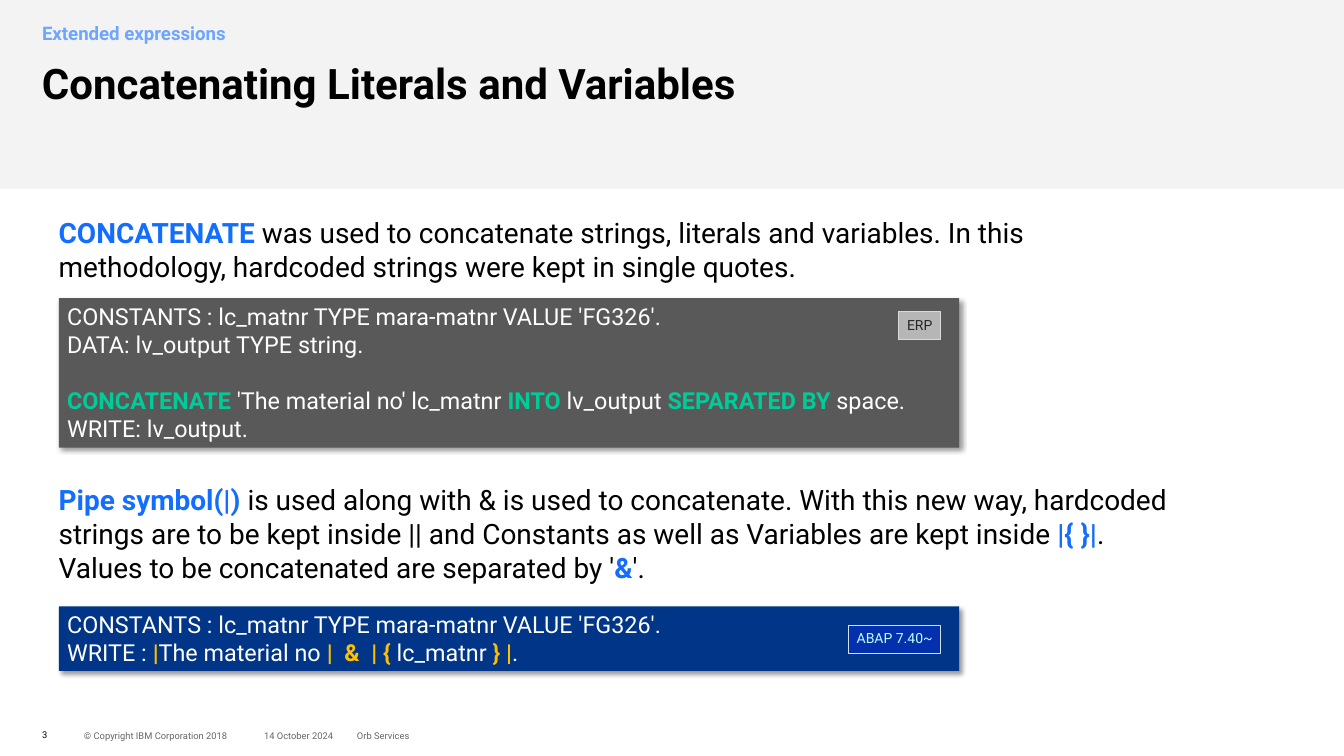
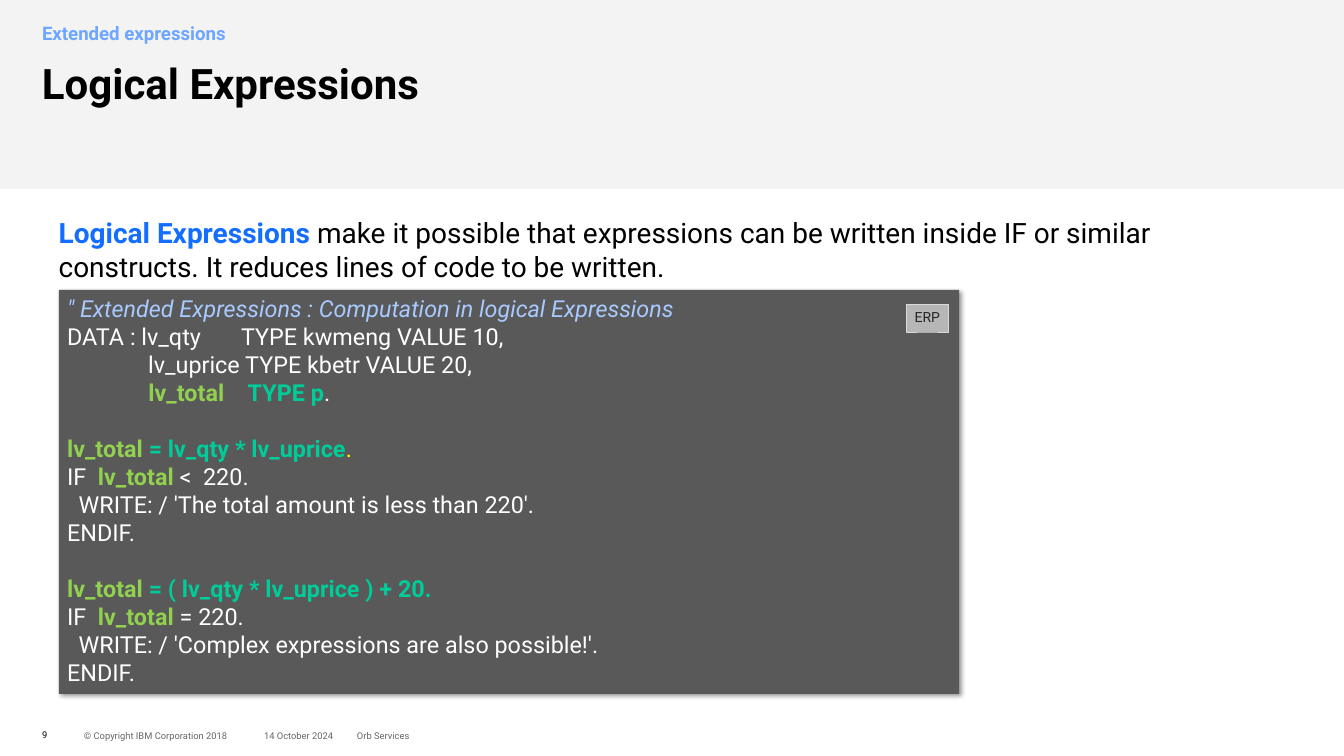
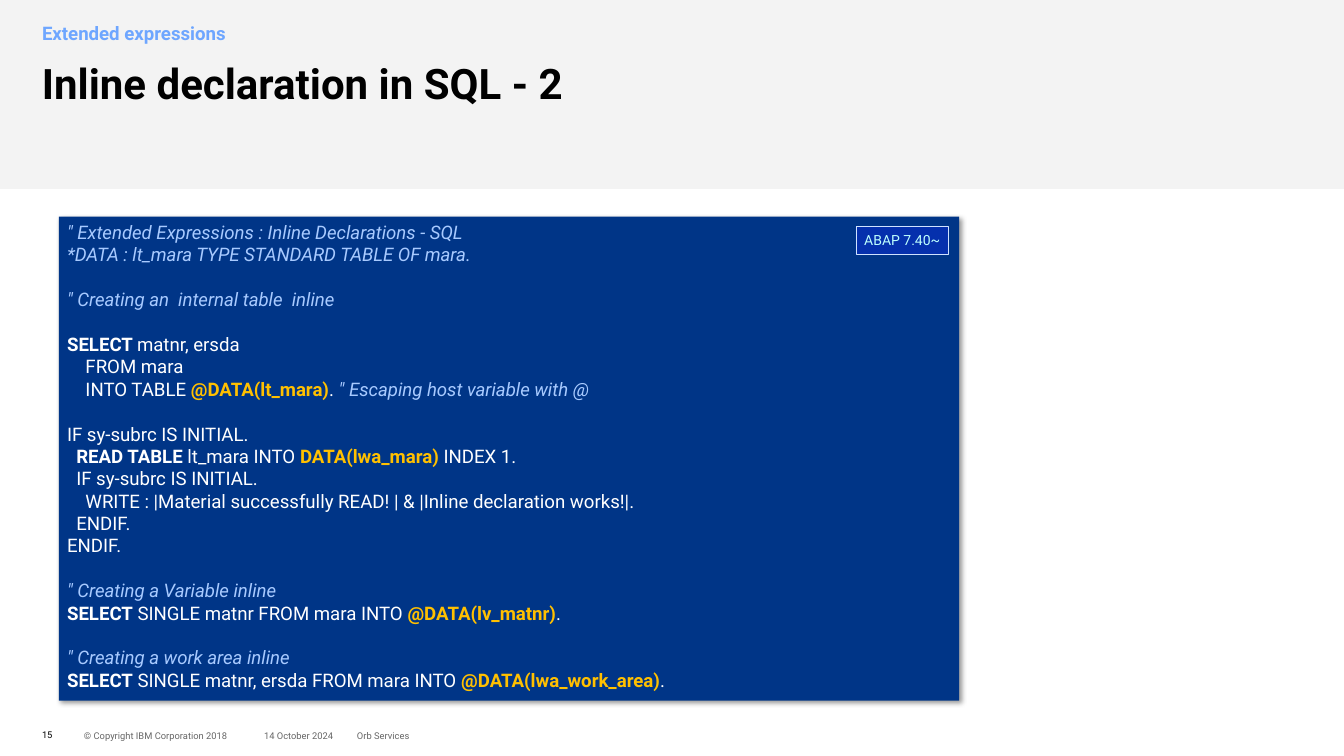
from lxml import etree
from pptx import Presentation
from pptx.dml.color import RGBColor
from pptx.enum.shapes import MSO_SHAPE
from pptx.enum.text import MSO_ANCHOR, PP_ALIGN
from pptx.oxml.ns import qn
from pptx.util import Pt

RECTANGLE = MSO_SHAPE.RECTANGLE
TOP, MIDDLE = MSO_ANCHOR.TOP, MSO_ANCHOR.MIDDLE
LEFT, RIGHT = PP_ALIGN.LEFT, PP_ALIGN.RIGHT

FONT = "Roboto"
LINE_HEIGHT = 1.2
BLACK = RGBColor(0x00, 0x00, 0x00)
WHITE = RGBColor(0xFF, 0xFF, 0xFF)
FOOTER_GRAY = RGBColor(0x66, 0x66, 0x66)
BAND_GRAY = RGBColor(0xF3, 0xF3, 0xF3)
KICKER_BLUE = RGBColor(0x6E, 0xA6, 0xFF)
KEY_BLUE = RGBColor(0x13, 0x6E, 0xFF)
COMMENT_BLUE = RGBColor(0xA8, 0xCA, 0xFF)
TEAL = RGBColor(0x00, 0xCC, 0x99)
LIME = RGBColor(0x92, 0xD0, 0x50)
AMBER = RGBColor(0xFF, 0xC0, 0x00)
YELLOW = RGBColor(0xFF, 0xFF, 0x00)
CODE_GRAY = RGBColor(0x59, 0x59, 0x59)
CODE_NAVY = RGBColor(0x00, 0x35, 0x87)
BADGE_GRAY = RGBColor(0xB6, 0xB6, 0xB6)
BADGE_GRAY_LINE = RGBColor(0xD9, 0xD9, 0xD9)
BADGE_GRAY_TEXT = RGBColor(0x26, 0x26, 0x26)
BADGE_BLUE = RGBColor(0x05, 0x30, 0xAD)
BADGE_BLUE_LINE = RGBColor(0xCF, 0xE2, 0xFF)
BADGE_BLUE_TEXT = RGBColor(0xBE, 0xFF, 0xFE)

PLAIN = {}
BOLD = {"bold": True}
KEY = {"color": KEY_BLUE, "bold": True}
COMMENT = {"color": COMMENT_BLUE, "italic": True}
WORD = {"color": TEAL, "bold": True}
TOTAL = {"color": LIME, "bold": True}
NEW = {"color": AMBER, "bold": True}
DOT = {"color": YELLOW}

CLASSIC = {"fill": CODE_GRAY, "badge": "ERP", "badge_width": 36, "badge_fill": BADGE_GRAY,
           "badge_line": BADGE_GRAY_LINE, "badge_text": BADGE_GRAY_TEXT}
MODERN = {"fill": CODE_NAVY, "badge": "ABAP 7.40~", "badge_width": 79.2, "badge_fill": BADGE_BLUE,
          "badge_line": BADGE_BLUE_LINE, "badge_text": BADGE_BLUE_TEXT}

SLIDES = [
    {
        "title": "Concatenating Literals and Variables",
        "number": "3",
        "intros": [
            (181.4, 65.5, [
                ("CONCATENATE", KEY),
                (" was used to concatenate strings, literals and variables. In this methodology, "
                 "hardcoded strings were kept in single quotes.", PLAIN)]),
            (410.4, 94.3, [
                ("Pipe symbol(|) ", KEY),
                ("is used along with & is used to concatenate. With this new way, hardcoded strings "
                 "are to be kept inside || and Constants as well as Variables are kept inside ", PLAIN),
                ("|{ }|", KEY),
                (". Values to be concatenated are separated by '", PLAIN),
                ("&", KEY),
                ("'.", PLAIN)]),
        ],
        "codes": [
            (CLASSIC, 255.6, 128.2, 20, 267.1, 806.4, [
                [("CONSTANTS : lc_matnr TYPE mara-matnr VALUE 'FG326'.", PLAIN)],
                [("DATA: lv_output TYPE string.", PLAIN)],
                [],
                [("CONCATENATE", WORD), (" 'The material no' lc_matnr ", PLAIN), ("INTO ", WORD),
                 ("lv_output ", PLAIN), ("SEPARATED BY ", WORD), ("space.", PLAIN)],
                [("WRITE: lv_output.", PLAIN)]]),
            (MODERN, 519.8, 55.4, 20, 535.7, 806.4, [
                [("CONSTANTS : lc_matnr TYPE mara-matnr VALUE 'FG326'.", PLAIN)],
                [("WRITE : ", PLAIN), ("|", NEW), ("The material no ", PLAIN), ("|  &  | { ", NEW),
                 ("lc_matnr", PLAIN), (" } |", NEW), (".", PLAIN)]]),
        ],
    },
    {
        "title": "Logical Expressions",
        "number": "9",
        "intros": [
            (181.4, 65.5, [
                ("Logical Expressions ", KEY),
                ("make it possible that expressions can be written inside IF or similar constructs. "
                 "It reduces lines of code to be written.", PLAIN)]),
        ],
        "codes": [
            (CLASSIC, 248.4, 346.3, 20, 260.6, 812.9, [
                [('" Extended Expressions : Computation in logical Expressions', COMMENT)],
                [("DATA : lv_qty       TYPE kwmeng VALUE 10,", PLAIN)],
                [("              lv_uprice TYPE kbetr VALUE 20,", PLAIN)],
                [("              lv_total    ", TOTAL), ("TYPE p", WORD), (".", PLAIN)],
                [],
                [("lv_total ", TOTAL), ("= lv_qty * lv_uprice", WORD), (".", DOT)],
                [("IF  ", PLAIN), ("lv_total ", TOTAL), ("<  220.", PLAIN)],
                [("  WRITE: / 'The total amount is less than 220'.", PLAIN)],
                [("ENDIF.", PLAIN)],
                [],
                [("lv_total ", TOTAL), ("= ( lv_qty * lv_uprice ) + 20.", WORD)],
                [("IF  ", PLAIN), ("lv_total ", TOTAL), ("= 220.", PLAIN)],
                [("  WRITE: / 'Complex expressions are also possible!'.", PLAIN)],
                [("ENDIF.", PLAIN)]]),
        ],
    },
    {
        "title": "Inline declaration in SQL - 2",
        "number": "15",
        "intros": [],
        "codes": [
            (MODERN, 185.8, 414.7, 16, 194.4, 812.9, [
                [('" Extended Expressions : Inline Declarations - SQL', COMMENT)],
                [("*DATA : lt_mara TYPE STANDARD TABLE OF mara.", COMMENT)],
                [],
                [('" Creating an  internal table  inline', COMMENT)],
                [],
                [("SELECT ", BOLD), ("matnr, ersda", PLAIN)],
                [("    FROM mara", PLAIN)],
                [("    INTO TABLE ", PLAIN), ("@DATA(lt_mara)", NEW), (". ", PLAIN),
                 ('" Escaping host variable with @', COMMENT)],
                [],
                [("IF sy-subrc IS INITIAL.", PLAIN)],
                [("  READ TABLE ", BOLD), ("lt_mara INTO ", PLAIN), ("DATA(lwa_mara) ", NEW),
                 ("INDEX 1.", PLAIN)],
                [("  IF sy-subrc IS INITIAL.", PLAIN)],
                [("    WRITE : |Material successfully READ! | & |Inline declaration works!|.", PLAIN)],
                [("  ENDIF.", PLAIN)],
                [("ENDIF.", PLAIN)],
                [],
                [('" Creating a Variable inline', COMMENT)],
                [("SELECT", BOLD), (" SINGLE matnr FROM mara INTO ", PLAIN),
                 ("@DATA(lv_matnr)", NEW), (".", PLAIN)],
                [],
                [('" Creating a work area inline', COMMENT)],
                [("SELECT", BOLD), (" SINGLE matnr, ersda FROM mara INTO ", PLAIN),
                 ("@DATA(lwa_work_area)", NEW), (".", PLAIN)]]),
        ],
    },
]


def add_box(slide, left, top, width, height, fill, line=None, shadow=False):
    shape = slide.shapes.add_shape(RECTANGLE, Pt(left), Pt(top), Pt(width), Pt(height))
    shape.shadow.inherit = False
    shape.fill.solid()
    shape.fill.fore_color.rgb = fill
    if line is None:
        shape.line.fill.background()
    else:
        shape.line.color.rgb = line
        shape.line.width = Pt(0.75)
    if shadow:
        effects = shape._element.spPr.find(qn("a:effectLst"))
        outer = etree.SubElement(effects, qn("a:outerShdw"), blurRad=str(Pt(4)), dist=str(Pt(3)),
                                 dir="2700000", algn="tl", rotWithShape="0")
        color = etree.SubElement(outer, qn("a:srgbClr"), val="000000")
        etree.SubElement(color, qn("a:alpha"), val="40000")
    return shape


def write_text(shape, lines, size, color=BLACK, bold=False, align=LEFT, anchor=TOP,
               spacing=None, padded=True, wrap=True):
    frame = shape.text_frame
    frame.word_wrap = wrap
    frame.vertical_anchor = anchor
    if not padded:
        frame.margin_left = frame.margin_top = frame.margin_right = frame.margin_bottom = 0
    if isinstance(lines, str):
        lines = [[(lines, PLAIN)]]
    gap = 0
    paragraph = None
    for line in lines:
        if not line:
            gap += size * LINE_HEIGHT
            continue
        paragraph = frame.add_paragraph() if paragraph else frame.paragraphs[0]
        paragraph.alignment = align
        if spacing:
            paragraph.line_spacing = spacing
        if gap:
            paragraph.space_before = Pt(gap)
            gap = 0
        for text, style in line:
            run = paragraph.add_run()
            run.text = text
            run.font.name = FONT
            run.font.size = Pt(size)
            run.font.color.rgb = style.get("color", color)
            run.font.bold = style.get("bold", bold)
            run.font.italic = style.get("italic", False)


presentation = Presentation()
presentation.slide_width = Pt(1152)
presentation.slide_height = Pt(648)

for content in SLIDES:
    slide = presentation.slides.add_slide(presentation.slide_layouts[6])
    add_box(slide, 0, 0, 1152, 162, BAND_GRAY)

    footer = {"size": 8, "color": FOOTER_GRAY, "anchor": MIDDLE}
    heading = {"bold": True, "spacing": 0.9}
    for left, top, width, height, text, style in [
        (72, 622, 180, 17.3, "© Copyright IBM Corporation 2018", footer),
        (177.8, 622, 108, 17.3, "14 October 2024", {**footer, "align": RIGHT}),
        (306, 622, 180, 17.3, "Orb Services", footer),
        (36, 621.4, 26, 17.3, content["number"], {**footer, "color": BLACK}),
        (36, 54, 1080, 90, content["title"], {**heading, "size": 36}),
        (36, 20.9, 234, 33.1, "Extended expressions", {**heading, "size": 16, "color": KICKER_BLUE}),
    ]:
        shape = slide.shapes.add_textbox(Pt(left), Pt(top), Pt(width), Pt(height))
        write_text(shape, text, padded=False, **style)

    for top, height, runs in content["intros"]:
        shape = slide.shapes.add_textbox(Pt(43.2), Pt(top), Pt(972), Pt(height))
        write_text(shape, [runs], 24)

    for theme, top, height, size, badge_top, badge_right, lines in content["codes"]:
        code = add_box(slide, 50.4, top, 771.8, height, theme["fill"], shadow=True)
        write_text(code, lines, size, color=WHITE)
        badge = add_box(slide, badge_right - theme["badge_width"], badge_top, theme["badge_width"], 24,
                        theme["badge_fill"], line=theme["badge_line"])
        write_text(badge, theme["badge"], 12, color=theme["badge_text"], spacing=1.05, wrap=False)

presentation.save("out.pptx")
